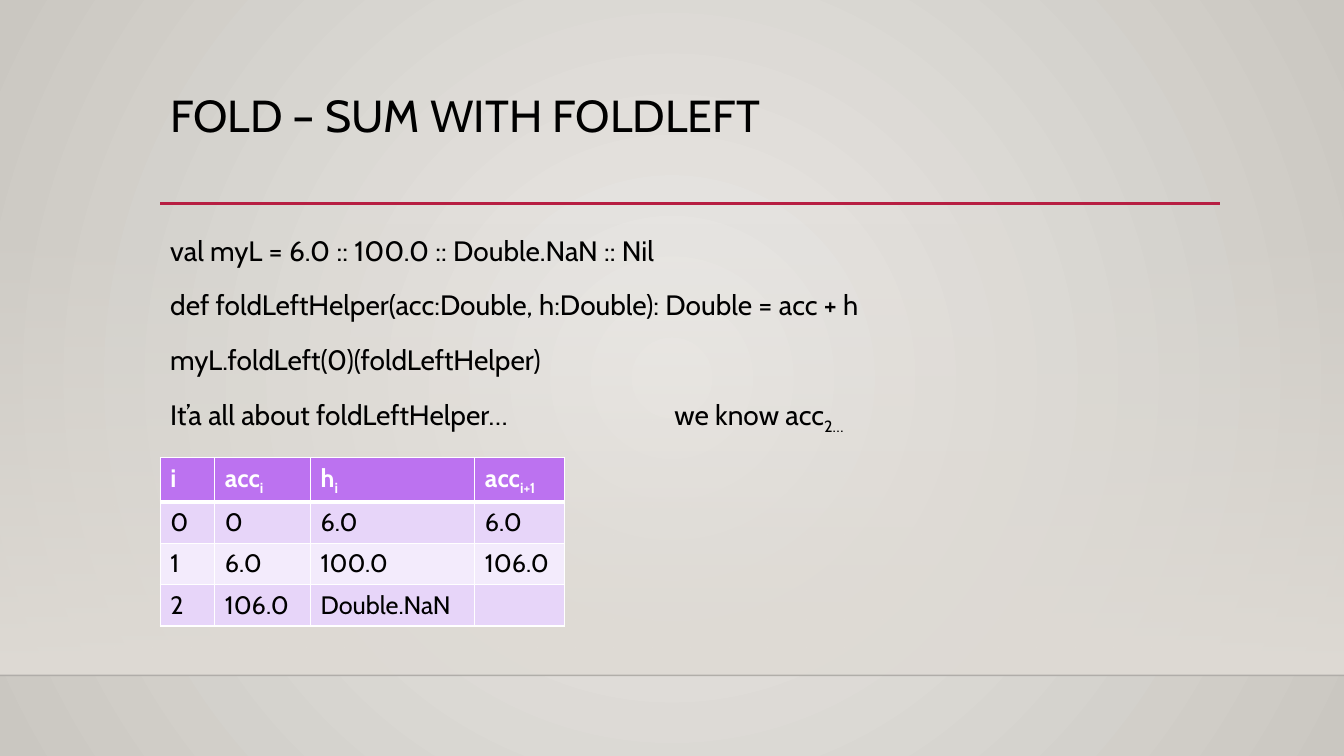
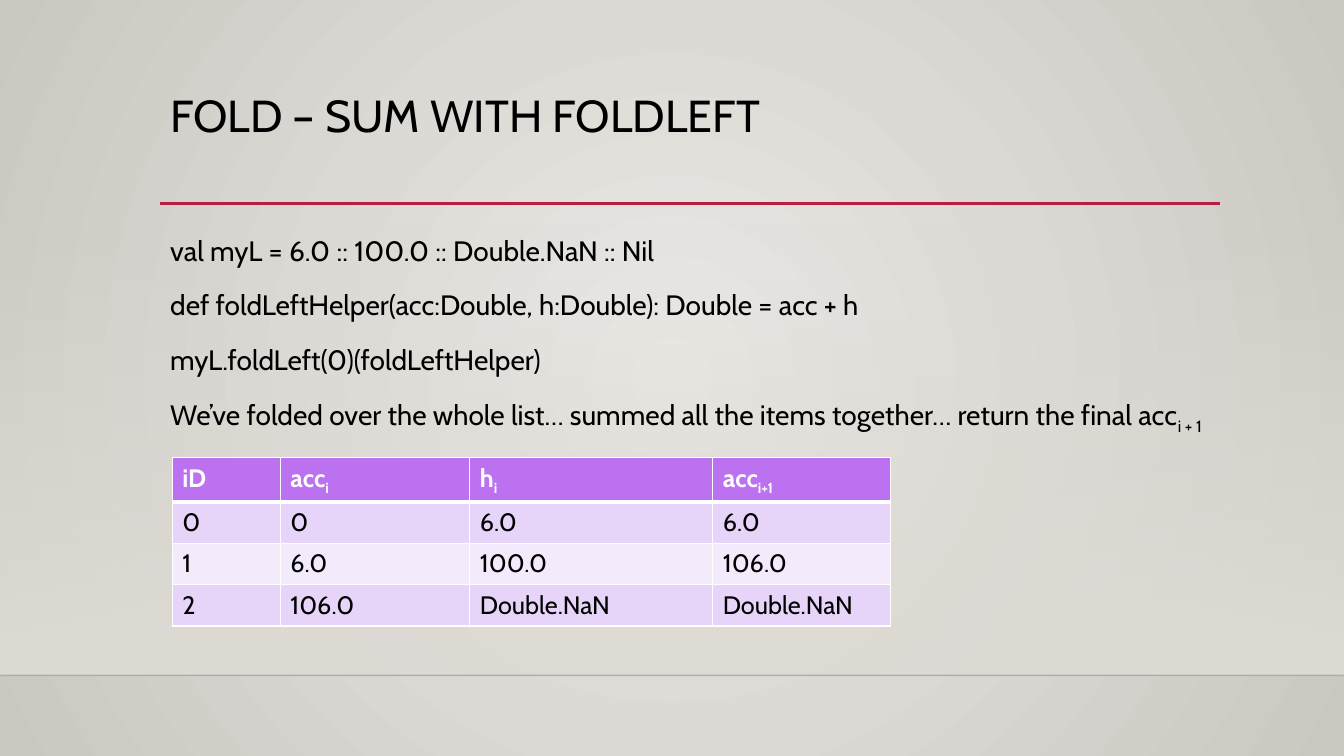
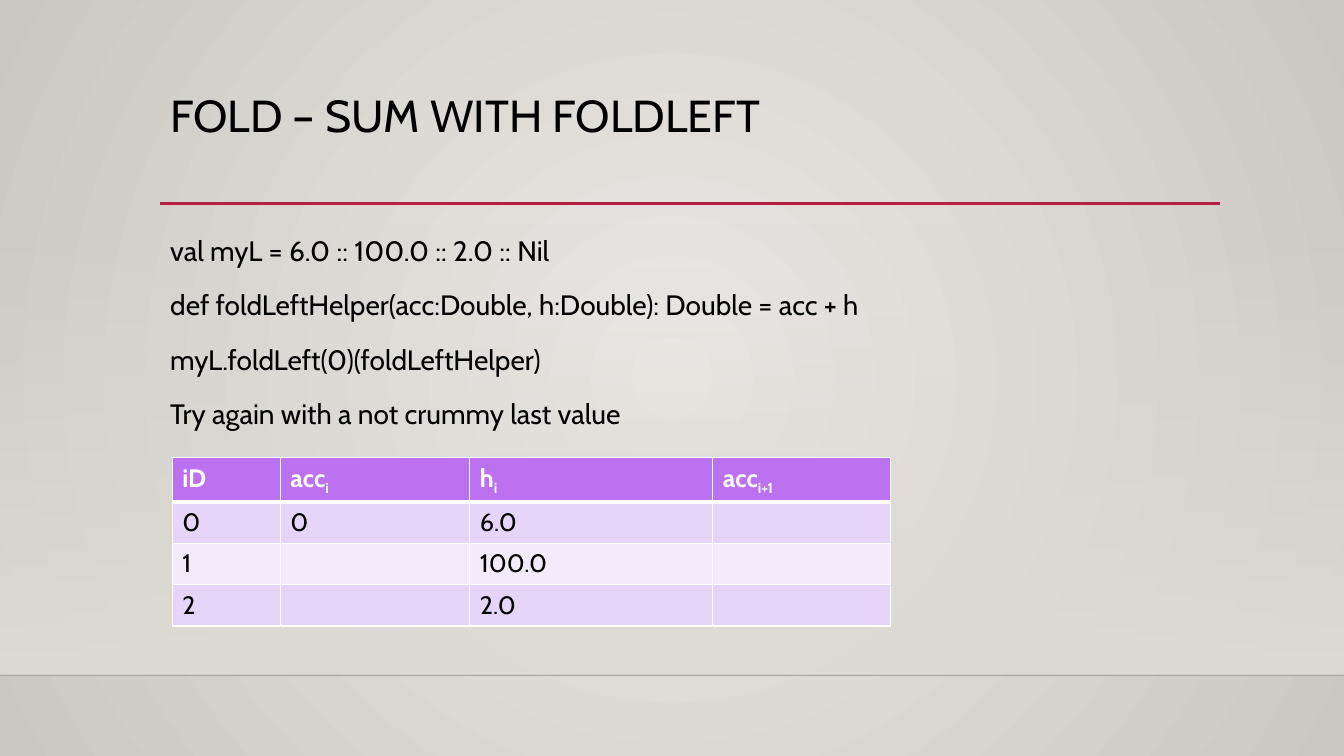
from dataclasses import dataclass

from lxml.etree import SubElement
from pptx import Presentation
from pptx.dml.color import RGBColor
from pptx.enum.shapes import MSO_CONNECTOR, MSO_SHAPE
from pptx.enum.text import MSO_ANCHOR
from pptx.oxml import parse_xml
from pptx.oxml.ns import nsdecls, qn
from pptx.util import Inches, Pt


@dataclass(frozen=True)
class Theme:
    font: str = "Cabin"
    title_size: int = 32
    body_size: int = 20
    table_size: int = 18
    text: str = "000000"
    accent: str = "B71E42"
    floor_line: str = "000001"
    floor: str = "DFDBD5"
    background: tuple = ("ECEAE7", "CAC7C1")
    header_fill: str = "BC72F0"
    row_fills: tuple = ("E7D5F9", "F3EBFC")
    white: str = "FFFFFF"


THEME = Theme()
WIDTH, HEIGHT = 13.33, 7.5
LEFT, RIGHT = 1.59, 12.1
RULE_TOP, BAND_TOP, FLOOR = 2.02, 2.21, 6.7
TABLE_TOP, HEADER_HEIGHT, ROW_HEIGHT = 4.54, 0.43, 0.41
TAB_STOP = 5

# An underscore starts a subscript.
TITLE = "FOLD – SUM WITH FOLDLEFT"
NAN_LIST = "val myL = 6.0 :: 100.0 :: Double.NaN :: Nil"
FOLD_CODE = [
    "def foldLeftHelper(acc:Double, h:Double): Double = acc + h",
    "myL.foldLeft(0)(foldLeftHelper)",
]
HEADINGS = ["acc_i", "h_i", "acc_i+1"]
NARROW = {"left": LEFT, "columns": [0.54, 0.95, 1.63, 0.89]}
WIDE = {"left": 1.71, "columns": [1.07, 1.88, 2.41, 1.76]}

SLIDES = [
    {
        "list": NAN_LIST,
        "remark": "It’a all about foldLeftHelper…\twe know acc_2…",
        "grid": NARROW,
        "rows": [
            ["i", *HEADINGS],
            ["0", "0", "6.0", "6.0"],
            ["1", "6.0", "100.0", "106.0"],
            ["2", "106.0", "Double.NaN", ""],
        ],
    },
    {
        "list": NAN_LIST,
        "remark": "We’ve folded over the whole list… summed all the items "
                  "together… return the final acc_i + 1",
        "grid": WIDE,
        "rows": [
            ["iD", *HEADINGS],
            ["0", "0", "6.0", "6.0"],
            ["1", "6.0", "100.0", "106.0"],
            ["2", "106.0", "Double.NaN", "Double.NaN"],
        ],
    },
    {
        "list": "val myL = 6.0 :: 100.0 :: 2.0 :: Nil",
        "remark": "Try again with a not crummy last value",
        "grid": WIDE,
        "rows": [
            ["iD", *HEADINGS],
            ["0", "0", "6.0", ""],
            ["1", "", "100.0", ""],
            ["2", "", "2.0", ""],
        ],
    },
]


def rgb(color):
    return RGBColor.from_string(color)


def set_gradient(owner, fill, stops, direction):
    """Fill with (percent, colour, opacity) stops along an XML direction."""
    fill.gradient()
    gradient = next(owner.element.iter(qn("a:gradFill")))
    for child in list(gradient):
        gradient.remove(child)
    stop_list = SubElement(gradient, qn("a:gsLst"))
    for percent, color, opacity in stops:
        stop = SubElement(stop_list, qn("a:gs"), pos=str(percent * 1000))
        tint = SubElement(stop, qn("a:srgbClr"), val=color)
        SubElement(tint, qn("a:alpha"), val=str(opacity * 1000))
    gradient.append(parse_xml(direction))


def set_background(master):
    inner, outer = THEME.background
    set_gradient(
        master, master.background.fill, [(0, inner, 100), (100, outer, 100)],
        f'<a:path {nsdecls("a")} path="circle">'
        '<a:fillToRect l="50000" t="50000" r="50000" b="50000"/></a:path>')


def add_rule(slide, left, right, top, color, width, opacity=100):
    rule = slide.shapes.add_connector(
        MSO_CONNECTOR.STRAIGHT,
        Inches(left), Inches(top), Inches(right), Inches(top))
    rule.line.color.rgb = rgb(color)
    rule.line.width = Pt(width)
    tint = next(rule.element.iter(qn("a:srgbClr")))
    SubElement(tint, qn("a:alpha"), val=str(opacity * 1000))
    SubElement(rule.element.spPr, qn("a:effectLst"))


def add_backdrop(slide):
    band = slide.shapes.add_shape(
        MSO_SHAPE.RECTANGLE, 0, Inches(BAND_TOP),
        Inches(WIDTH), Inches(FLOOR - BAND_TOP))
    band.shadow.inherit = False
    band.line.fill.background()
    set_gradient(band, band.fill, [(0, THEME.floor, 0), (100, THEME.floor, 100)],
                 f'<a:lin {nsdecls("a")} ang="5400000" scaled="0"/>')
    add_rule(slide, 0, WIDTH, FLOOR, THEME.floor_line, 1, opacity=20)
    add_rule(slide, LEFT, RIGHT, RULE_TOP, THEME.accent, 2.5)


def write(paragraph, text, size, color=THEME.text, bold=False):
    """Write text as runs; the part after an underscore is a subscript."""
    font_values = {"name": THEME.font, "size": Pt(size), "bold": bold}
    for index, part in enumerate(text.split("_")):
        run = paragraph.add_run()
        run.text = part
        for name, value in font_values.items():
            setattr(run.font, name, value)
        run.font.color.rgb = rgb(color)
        if index:
            run.font._element.set("baseline", "-25000")


def add_text(slide, box, lines, size, **spacing):
    shape = slide.shapes.add_textbox(*map(Inches, box))
    frame = shape.text_frame
    frame.word_wrap = True
    frame.vertical_anchor = MSO_ANCHOR.TOP
    for index, line in enumerate(lines):
        paragraph = frame.add_paragraph() if index else frame.paragraphs[0]
        for name, value in spacing.items():
            setattr(paragraph, name, value)
        if "\t" in line:
            tabs = SubElement(paragraph._p.get_or_add_pPr(), qn("a:tabLst"))
            SubElement(tabs, qn("a:tab"), pos=str(Inches(TAB_STOP)), algn="l")
        write(paragraph, line, size)


def set_borders(cell, widths):
    """Draw white borders; widths maps a side (L, R, T, B) to points."""
    properties = cell._tc.get_or_add_tcPr()
    for index, (side, width) in enumerate(widths.items()):
        properties.insert(index, parse_xml(
            f'<a:ln{side} {nsdecls("a")} w="{Pt(width)}"><a:solidFill>'
            f'<a:srgbClr val="{THEME.white}"/></a:solidFill></a:ln{side}>'))


def add_fold_table(slide, rows, left, columns):
    heights = [HEADER_HEIGHT] + [ROW_HEIGHT] * (len(rows) - 1)
    table = slide.shapes.add_table(
        len(rows), len(columns), Inches(left), Inches(TABLE_TOP),
        Inches(sum(columns)), Inches(sum(heights))).table
    table.first_row = table.horz_banding = False
    for column, width in zip(table.columns, columns):
        column.width = Inches(width)
    for index, (row, height, texts) in enumerate(zip(table.rows, heights, rows)):
        row.height = Inches(height)
        header = index == 0
        fill = THEME.header_fill if header else THEME.row_fills[(index - 1) % 2]
        for cell, text in zip(row.cells, texts):
            cell.fill.solid()
            cell.fill.fore_color.rgb = rgb(fill)
            set_borders(cell, {"L": 1, "R": 1, "T": 3 if index == 1 else 1,
                               "B": 3 if header else 1})
            if text:
                write(cell.text_frame.paragraphs[0], text, THEME.table_size,
                      THEME.white if header else THEME.text, bold=header)


def main():
    presentation = Presentation()
    presentation.slide_width = Inches(WIDTH)
    presentation.slide_height = Inches(HEIGHT)
    set_background(presentation.slide_master)
    for content in SLIDES:
        slide = presentation.slides.add_slide(presentation.slide_layouts[6])
        add_backdrop(slide)
        add_text(slide, (LEFT, 0.88, 10.5, 1.15), [TITLE],
                 THEME.title_size, line_spacing=0.9)
        add_text(slide, (LEFT, 2.2, 11.37, 3.77),
                 [content["list"], *FOLD_CODE, content["remark"]],
                 THEME.body_size, line_spacing=1.2, space_before=Pt(10))
        add_fold_table(slide, content["rows"], **content["grid"])
    presentation.save("out.pptx")


if __name__ == "__main__":
    main()
